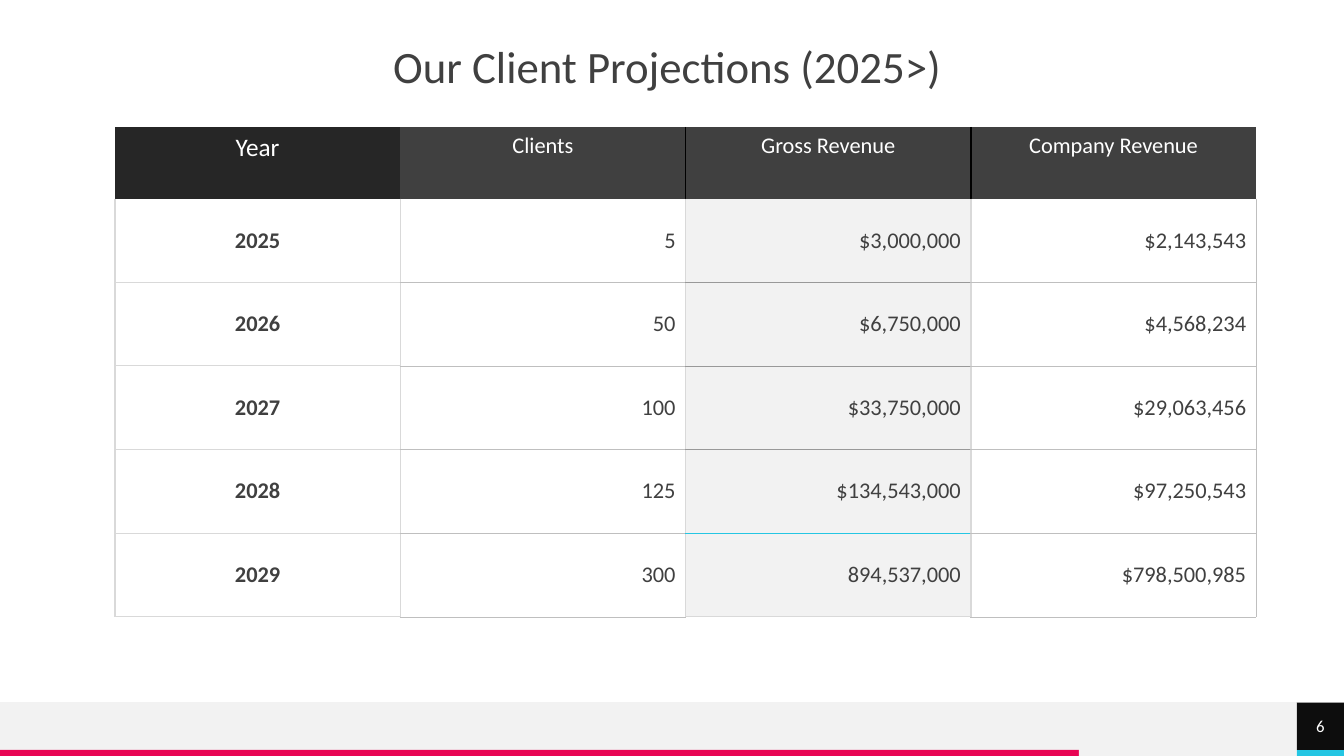
from lxml.etree import SubElement
from pptx import Presentation
from pptx.dml.color import RGBColor
from pptx.enum.shapes import MSO_CONNECTOR, MSO_SHAPE
from pptx.enum.text import MSO_ANCHOR, PP_ALIGN
from pptx.oxml import parse_xml
from pptx.oxml.ns import nsdecls, qn
from pptx.util import Inches, Pt

FONT = "Calibri"
WHITE = RGBColor(0xFF, 0xFF, 0xFF)
PALE = RGBColor(0xF2, 0xF2, 0xF2)
RULE = RGBColor(0xD9, 0xD9, 0xD9)
SILVER = RGBColor(0xBF, 0xBF, 0xBF)
GREY = RGBColor(0x99, 0x99, 0x99)
SLATE = RGBColor(0x40, 0x40, 0x40)
COAL = RGBColor(0x26, 0x26, 0x26)
INK = RGBColor(0x0D, 0x0D, 0x0D)
BLACK = RGBColor(0, 0, 0)
PINK = RGBColor(0xE8, 0x05, 0x54)
CYAN = RGBColor(0x25, 0xC6, 0xE3)

ROWS = [
    ("Year", "Clients", "Gross Revenue", "Company Revenue"),
    ("2025", "5", "$3,000,000", "$2,143,543"),
    ("2026", "50", "$6,750,000", "$4,568,234"),
    ("2027", "100", "$33,750,000", "$29,063,456"),
    ("2028", "125", "$134,543,000", "$97,250,543"),
    ("2029", "300", "894,537,000", "$798,500,985"),
]
LAST = len(ROWS) - 1


def write(frame, text, size, color, align, bold=False):
    frame.text = text
    para = frame.paragraphs[0]
    para.alignment = align
    font = para.runs[0].font
    font.name, font.size, font.bold = FONT, Pt(size), bold
    font.color.rgb = color
    return para


def add_block(slide, left, top, width, height, color):
    block = slide.shapes.add_shape(
        MSO_SHAPE.RECTANGLE, Inches(left), Inches(top), Inches(width), Inches(height))
    block.shadow.inherit = False
    block.fill.solid()
    block.fill.fore_color.rgb = color
    block.line.fill.background()
    return block


def set_pads(frame):
    frame.margin_left = frame.margin_right = 0
    frame.margin_top = frame.margin_bottom = 0
    frame.vertical_anchor = MSO_ANCHOR.MIDDLE
    frame.word_wrap = True


def add_title(slide, left, top, width, height):
    box = slide.shapes.add_textbox(
        Inches(left), Inches(top), Inches(width), Inches(height))
    set_pads(box.text_frame)
    para = write(box.text_frame, "Our Client Projections (2025>) ", 32, SLATE,
                 PP_ALIGN.CENTER)
    para.line_spacing = 0.9
    para.space_before = Pt(10)


def set_edges(cell, edges):
    """Draw the sides of a cell; a side set to None stays bare."""
    props = cell._tc.get_or_add_tcPr()
    for spot, side in enumerate("LRTB"):
        edge = edges.get(side)
        line = parse_xml(f"<a:ln{side} {nsdecls('a')}/>")
        if edge:
            color, width = edge
            line.set("w", str(Pt(width)))
            fill = SubElement(line, qn("a:solidFill"))
            SubElement(fill, qn("a:srgbClr")).set("val", str(color))
        else:
            SubElement(line, qn("a:noFill"))
        props.insert(spot, line)


def row_edge(row, col):
    """Line below a row, shared with the cell under it."""
    if row == 0:
        return None
    if col == 0 or (col == 2 and row == LAST):
        return RULE, 1
    if col == 2:
        return (CYAN, 1) if row == LAST - 1 else (GREY, 0.5)
    return SILVER, 0.25


def col_edge(row, col):
    """Line to the left of a column, shared with the cell before it."""
    if row == 0:
        return (BLACK, 1) if col in (2, 3) else None
    return (SILVER, 0.25) if col == 4 else (RULE, 1)


def add_grid(slide, left, top, width, head, step):
    count = len(ROWS[0])
    frame = slide.shapes.add_table(
        len(ROWS), count, Inches(left), Inches(top), Inches(width),
        Inches(head + step * LAST))
    table = frame.table
    table.first_row = table.horz_banding = False
    for col in table.columns:
        col.width = Inches(width / count)
    for r, texts in enumerate(ROWS):
        table.rows[r].height = Inches(step if r else head)
        for c, text in enumerate(texts):
            cell = table.cell(r, c)
            cell.fill.solid()
            if r == 0:
                cell.fill.fore_color.rgb = SLATE if c else COAL
                write(cell.text_frame, text, 16 if c else 18, WHITE, PP_ALIGN.CENTER)
            else:
                cell.fill.fore_color.rgb = PALE if c == 2 else WHITE
                cell.vertical_anchor = MSO_ANCHOR.MIDDLE
                align = PP_ALIGN.RIGHT if c else PP_ALIGN.CENTER
                write(cell.text_frame, text, 16, SLATE, align, c == 0)
            set_edges(cell, {
                "L": col_edge(r, c), "R": col_edge(r, c + 1),
                "T": row_edge(r - 1, c) if r else None, "B": row_edge(r, c)})


def add_footer(slide, left, top, width, height):
    bar, side = 0.06, 0.47
    split, end = left + 10.7, left + width - side
    low = top + height - bar
    # Bands
    add_block(slide, left, top, split - left, side, PALE)
    add_block(slide, left, low, split - left, bar, PINK)
    add_block(slide, end, low, side, bar, CYAN)
    # Top rule
    rule = slide.shapes.add_connector(
        MSO_CONNECTOR.STRAIGHT, Inches(left + width), Inches(top),
        Inches(left), Inches(top))
    rule.line.color.rgb = PALE
    rule.line.width = Pt(0.5)
    SubElement(rule._element.spPr, qn("a:effectLst"))
    # Page number
    page = add_block(slide, end, top, side, side, INK)
    set_pads(page.text_frame)
    write(page.text_frame, "6", 12, WHITE, PP_ALIGN.CENTER)
    add_block(slide, split, top, end - split, height, PALE)


def main():
    deck = Presentation()
    deck.slide_width, deck.slide_height = Inches(13.33), Inches(7.5)
    slide = deck.slides.add_slide(deck.slide_layouts[6])
    add_title(slide, 0.47, 0.49, 12.4, 0.39)
    add_grid(slide, 1.14, 1.26, 11.32, 0.71, 0.83)
    add_footer(slide, 0, 6.97, 13.33, 0.53)
    deck.save("out.pptx")


if __name__ == "__main__":
    main()
